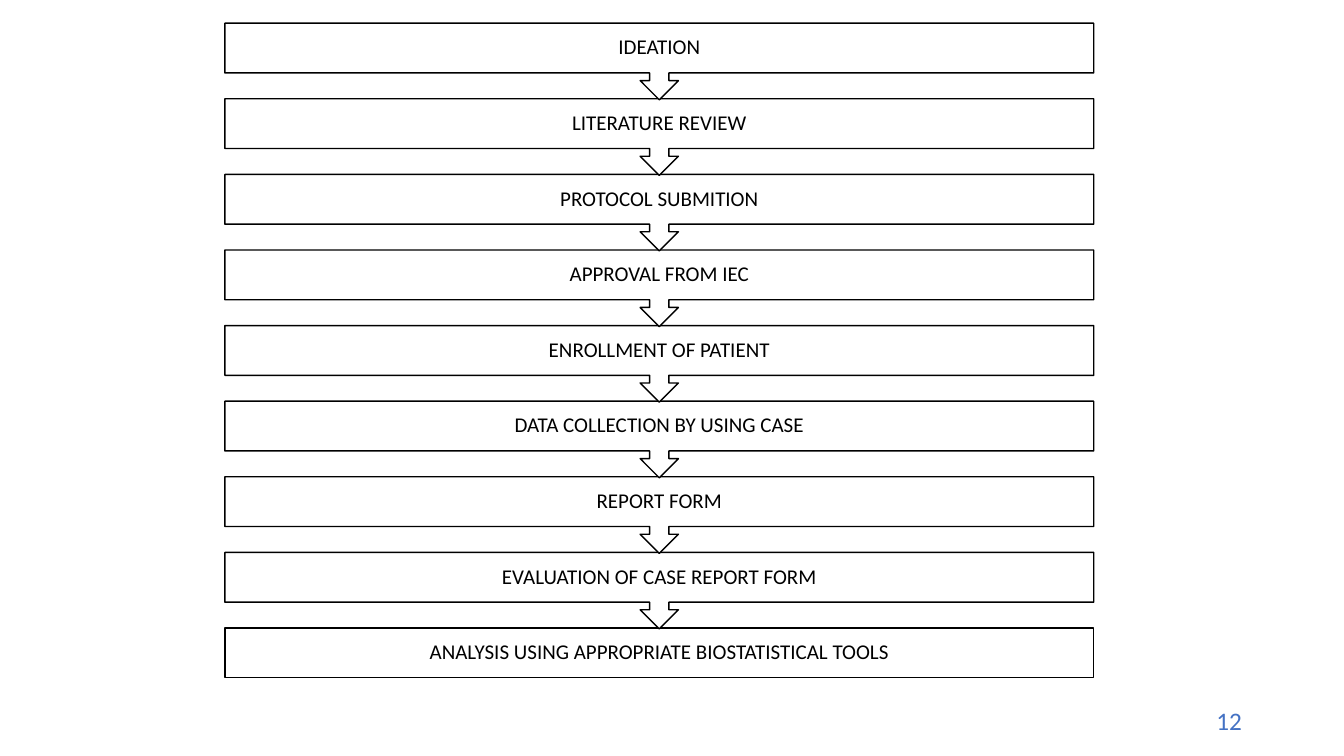
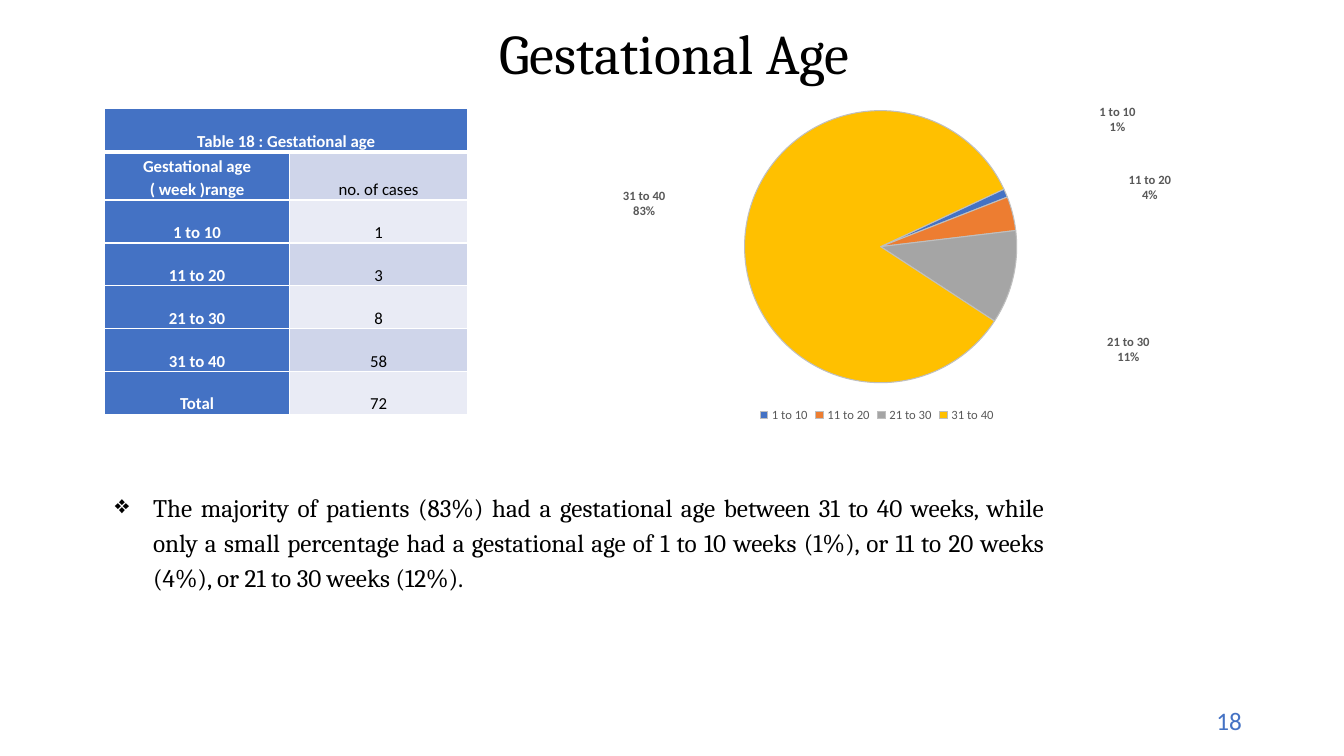
from copy import deepcopy

from lxml import etree
from pptx import Presentation
from pptx.chart.data import CategoryChartData
from pptx.dml.color import RGBColor
from pptx.enum.chart import XL_CHART_TYPE as ChartType
from pptx.enum.chart import XL_LABEL_POSITION as LabelPos
from pptx.enum.chart import XL_LEGEND_POSITION as LegendPos
from pptx.enum.shapes import MSO_SHAPE as Shape
from pptx.enum.text import MSO_ANCHOR as Anchor
from pptx.enum.text import MSO_AUTO_SIZE as AutoSize
from pptx.enum.text import PP_ALIGN as Align
from pptx.oxml.ns import qn
from pptx.util import Inches, Pt

# Shared colours and fonts
BLACK, WHITE, GREY = "000000", "FFFFFF", "595959"
BLUE, ORANGE, SILVER, GOLD = "4472C4", "ED7D31", "A5A5A5", "FFC000"
BANDS = ["CFD5EA", "E9EBF5"]
BODY, SERIF = "Calibri", "Cambria"
rgb = RGBColor.from_string

deck = Presentation()
deck.slide_width, deck.slide_height = Inches(13.33), Inches(7.5)


def place(left, top, width, height):
    """Turn percentages of the slide's size into lengths."""
    across, down = deck.slide_width / 100, deck.slide_height / 100
    return [int(left * across), int(top * down), int(width * across), int(height * down)]


def write(box, text, size=18, color=BLACK, font=BODY, bold=False, align=Align.CENTER,
          anchor=Anchor.MIDDLE, spacing=1.0, after=0, margins=(0.1, 0.05)):
    """Fill a text frame or a table cell with one formatted paragraph."""
    box.word_wrap = True
    box.vertical_anchor = anchor
    box.margin_left = box.margin_right = Inches(margins[0])
    box.margin_top = box.margin_bottom = Inches(margins[1])
    para = getattr(box, "text_frame", box).paragraphs[0]
    para.alignment, para.line_spacing, para.space_after = align, spacing, Pt(after)
    span = para.add_run()
    span.text = text
    span.font.size, span.font.name, span.font.bold = Pt(size), font, bold
    span.font.color.rgb = rgb(color)
    return para


# Slide 1: the study steps, drawn upwards so each arrow lies over the next box
flow = deck.slides.add_slide(deck.slide_layouts[6])
steps = ["IDEATION", "LITERATURE REVIEW", "PROTOCOL SUBMITION", "APPROVAL FROM IEC",
         "ENROLLMENT OF PATIENT", "DATA COLLECTION BY USING CASE", "REPORT FORM",
         "EVALUATION OF CASE REPORT FORM", "ANALYSIS USING APPROPRIATE BIOSTATISTICAL TOOLS"]
last = len(steps) - 1
for row in range(last, -1, -1):
    kind, height = (Shape.RECTANGLE, 6.58) if row == last else (Shape.DOWN_ARROW_CALLOUT, 10.13)
    step = flow.shapes.add_shape(kind, *place(16.73, 3.07 + 10 * row, 64.65, height))
    if row != last:
        step.adjustments[3] = 0.65
    step.shadow.inherit = False
    step.fill.solid()
    step.fill.fore_color.rgb = rgb(WHITE)
    step.line.color.rgb = rgb(BLACK)
    step.line.width = Pt(1)
    write(step.text_frame, steps[row], size=15, spacing=0.9, margins=(0.12, 0.12))

# Slide 2: title
ages = deck.slides.add_slide(deck.slide_layouts[5])
title = ages.shapes.title
title.left, title.top, title.width, title.height = place(7.05, 1.33, 86.25, 12.13)
title.text_frame.auto_size = AutoSize.NONE
write(title.text_frame, "Gestational Age", size=40, font=SERIF, spacing=0.9)

# Table of cases
rows = [("Table 18 : Gestational age", ""), ("Gestational age ( week )range", "no. of cases"),
        ("1 to 10", "1"), ("11 to 20", "3"), ("21 to 30", "8"), ("31 to 40", "58"),
        ("Total", "72")]
table = ages.shapes.add_table(len(rows), 2, *place(7.8, 14.4, 27, 40.4)).table
table.horz_banding = False
table.columns[0].width, table.columns[1].width = Inches(1.83), Inches(1.77)
table.cell(0, 0).merge(table.cell(0, 1))
for row, texts in enumerate(rows):
    table.rows[row].height = place(0, 0, 0, 6.4 if row == 1 else 5.67)[3]
    for column, text in enumerate(texts):
        cell = table.cell(row, column)
        heading = row == 0 or column == 0
        if text:
            write(cell, text, size=12, color=WHITE if heading else BLACK, bold=heading,
                  anchor=Anchor.BOTTOM, spacing=1.15, after=8, margins=(0.07, 0))
        borders = cell._tc.get_or_add_tcPr()
        for side in ("lnL", "lnR", "lnT", "lnB"):
            thick = (row, side) in ((0, "lnB"), (1, "lnT"))
            edge = etree.SubElement(borders, qn(f"a:{side}"), w=str(Pt(3 if thick else 1)))
            paint = etree.SubElement(edge, qn("a:solidFill"))
            etree.SubElement(paint, qn("a:srgbClr"), val=WHITE)
        cell.fill.solid()
        cell.fill.fore_color.rgb = rgb(BLUE if heading else BANDS[(row - 1) % 2])

# Pie chart of shares
data = CategoryChartData()
data.categories = ["1 to 10", "11 to 20", "21 to 30", "31 to 40"]
data.add_series("Series 1", [1, 4, 11, 83])
chart = ages.shapes.add_chart(ChartType.PIE, *place(37.88, 12.8, 54.75, 43.6), data).chart
chart.has_title = False
chart.font.name, chart.font.size = BODY, Pt(10)
chart.font.color.rgb = rgb(BLACK)
chart.has_legend = True
chart.legend.position = LegendPos.BOTTOM
chart.legend.include_in_layout = False
chart.legend.font.name, chart.legend.font.size = BODY, Pt(9)
chart.legend.font.color.rgb = rgb(GREY)
plot = chart.plots[0]
plot.vary_by_categories = True
series = plot.series[0]
for index, color in enumerate([BLUE, ORANGE, SILVER, GOLD]):
    slice_format = series.points[index].format
    slice_format.fill.solid()
    slice_format.fill.fore_color.rgb = rgb(color)
    slice_format.line.color.rgb = rgb("BFBFBF")
    slice_format.line.width = Pt(0.75)

# First slice angle and pie area
pie = chart._chartSpace.find(".//" + qn("c:pieChart"))
etree.SubElement(pie, qn("c:firstSliceAng"), val="65")
area = pie.getparent()
for layout in area.findall(qn("c:layout")):
    area.remove(layout)
layout = etree.Element(qn("c:layout"))
area.insert(0, layout)
manual = etree.SubElement(layout, qn("c:manualLayout"))
for name, value in [("layoutTarget", "inner"), ("xMode", "edge"), ("yMode", "edge"),
                    ("x", 0.32), ("y", 0.04), ("w", 0.37), ("h", 0.83)]:
    etree.SubElement(manual, qn(f"c:{name}"), val=str(value))

# Slice labels, each moved away from the pie
labels = series.data_labels
labels.font.name, labels.font.size, labels.font.bold = BODY, Pt(9), True
labels.font.color.rgb = rgb(GREY)
labels.number_format, labels.number_format_is_linked = '0"%"', False
labels.position = LabelPos.OUTSIDE_END
labels.show_value = labels.show_category_name = True
labels.show_percentage = False
shared = labels._element
separator = etree.Element(qn("c:separator"))
separator.text = "\n"
shared.find(qn("c:showBubbleSize")).addnext(separator)
for leader in shared.findall(qn("c:showLeaderLines")):
    leader.set("val", "0")
settings = [item for item in shared if item.tag != qn("c:showLeaderLines")]
for index, (right, down) in enumerate([(0.12, -0.17), (0.15, -0.03), (0.12, 0.17), (-0.1, -0.1)]):
    label = etree.Element(qn("c:dLbl"))
    etree.SubElement(label, qn("c:idx"), val=str(index))
    manual = etree.SubElement(etree.SubElement(label, qn("c:layout")), qn("c:manualLayout"))
    etree.SubElement(manual, qn("c:x"), val=str(right))
    etree.SubElement(manual, qn("c:y"), val=str(down))
    label.extend(deepcopy(settings))
    shared.insert(index, label)

# Finding
finding = ages.shapes.add_textbox(*place(7.8, 63.87, 70.65, 14.93))
para = write(finding.text_frame,
             "The majority of patients (83%) had a gestational age between 31 to 40 weeks, "
             "while only a small percentage had a gestational age of 1 to 10 weeks (1%), "
             "or 11 to 20 weeks (4%), or 21 to 30 weeks (12%).",
             font=SERIF, align=Align.JUSTIFY, anchor=Anchor.TOP, spacing=1.15, after=10)
bullet = para._p.get_or_add_pPr()
bullet.set("marL", str(Inches(0.38)))
bullet.set("indent", str(-Inches(0.38)))
etree.SubElement(bullet, qn("a:buChar"), char="❖")

# Page numbers
for page, number in [(flow, "12"), (ages, "18")]:
    corner = page.shapes.add_textbox(*place(70.65, 92.67, 22.5, 5.33))
    write(corner.text_frame, number, color=BLUE, align=Align.RIGHT)

deck.save("out.pptx")
